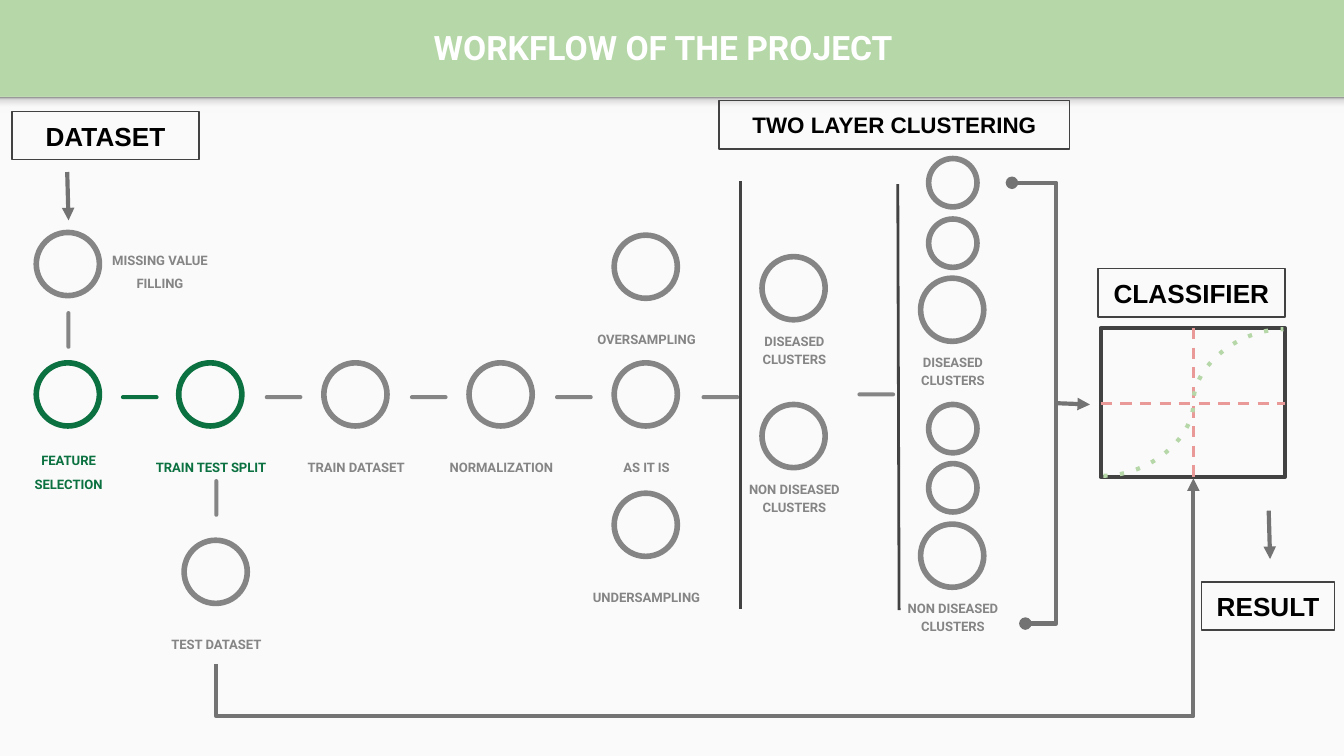
from copy import deepcopy

from lxml.etree import SubElement
from pptx import Presentation
from pptx.dml.color import RGBColor
from pptx.enum.shapes import MSO_CONNECTOR, MSO_SHAPE
from pptx.enum.text import MSO_ANCHOR, PP_ALIGN
from pptx.oxml.ns import qn
from pptx.util import Inches, Pt


class Theme:
    band = "B6D7A8"
    paper = "FAFAFA"
    green = "0B7140"
    gray = "858585"
    arrow = "737373"
    dark = "424242"
    axis = "EA9999"
    white = "FFFFFF"
    black = "000000"
    shade = [(0, "F9F9F9"), (0.36, "F9F9F9"), (0.8, "DEDEDE"), (1, "999999")]
    label_font = "Roboto"
    heading_font = "Arial"
    title_size = 18
    heading_size = 14
    wide_heading_size = 12
    label_size = 7


deck = Presentation()
deck.slide_width = Inches(10)
deck.slide_height = Inches(10 * 9 / 16)
page = deck.slides.add_slide(deck.slide_layouts[6])
page.background.fill.solid()
page.background.fill.fore_color.rgb = RGBColor.from_string(Theme.band)


def draw(kind, left, top, width, height, fill=None, outline=None, weight=0):
    shape = page.shapes.add_shape(kind, Inches(left), Inches(top), Inches(width), Inches(height))
    shape.shadow.inherit = False
    if fill:
        shape.fill.solid()
        shape.fill.fore_color.rgb = RGBColor.from_string(fill)
    else:
        shape.fill.background()
    if outline:
        shape.line.color.rgb = RGBColor.from_string(outline)
        shape.line.width = Pt(weight)
    else:
        shape.line.fill.background()
    return shape


def write(box, text, size, font, color, anchor=MSO_ANCHOR.MIDDLE, spacing=1.0):
    frame = box.text_frame
    frame.word_wrap = True
    frame.vertical_anchor = anchor
    frame.margin_left = frame.margin_right = Inches(0.1)
    frame.margin_top = frame.margin_bottom = Inches(0.1)
    para = frame.paragraphs[0]
    para.text = text
    para.alignment = PP_ALIGN.CENTER
    para.line_spacing = spacing
    para.font.size = Pt(size)
    para.font.name = font
    para.font.bold = True
    para.font.color.rgb = RGBColor.from_string(color)


draw(MSO_SHAPE.RECTANGLE, 0, 0.72, 10, 4.91, Theme.paper)
shade = draw(MSO_SHAPE.RECTANGLE, 0, 0.72, 10, 0.12)
shade.fill.gradient()
shade.fill.gradient_angle = 90
stop_list = shade._element.spPr.find(qn("a:gradFill")).find(qn("a:gsLst"))
for _ in range(2):
    stop_list.append(deepcopy(stop_list[0]))
for stop, (position, color) in zip(shade.fill.gradient_stops, Theme.shade):
    stop.position = position
    stop.color.rgb = RGBColor.from_string(color)

title = page.shapes.add_textbox(Inches(0.11), Inches(0.02), Inches(9.65), Inches(0.66))
write(title, "WORKFLOW OF THE PROJECT", Theme.title_size, Theme.label_font, Theme.white)

steps = [
    (0.27, 1.73, "MISSING VALUE FILLING", 1.5, Theme.gray),
    (0.27, 2.7, "FEATURE SELECTION", 1.5, Theme.green),
    (1.33, 2.7, "TRAIN TEST SPLIT", 1.5, Theme.green),
    (1.37, 4.02, "TEST DATASET", 1.5, Theme.gray),
    (2.41, 2.7, "TRAIN DATASET", 1.5, Theme.gray),
    (3.49, 2.7, "NORMALIZATION", 1.5, Theme.gray),
    (4.57, 1.75, "OVERSAMPLING", 1.5, Theme.gray),
    (4.57, 2.7, "AS IT IS", 1.5, Theme.gray),
    (4.57, 3.67, "UNDERSAMPLING", 1.5, Theme.gray),
    (5.67, 1.91, "DISEASED CLUSTERS", 1.15, Theme.gray),
    (5.67, 3.01, "NON DISEASED CLUSTERS", 1.15, Theme.gray),
    (6.85, 2.07, "DISEASED CLUSTERS", 1.15, Theme.gray),
    (6.85, 3.9, "NON DISEASED CLUSTERS", 1.15, Theme.gray),
]
label_offsets = {"MISSING VALUE FILLING": (0.38, 0.18), "FEATURE SELECTION": (-0.3, 0.7)}
for left, top, label, spacing, color in steps:
    draw(MSO_SHAPE.OVAL, left, top, 0.47, 0.47, None, color, 3)
    shift, drop = label_offsets.get(label, (-0.3, 0.56))
    box = page.shapes.add_textbox(Inches(left + shift), Inches(top + drop), Inches(1.08), Inches(0.36))
    write(box, label, Theme.label_size, Theme.label_font, color, MSO_ANCHOR.BOTTOM, spacing)

for top in (1.18, 1.63, 3.01, 3.45):
    draw(MSO_SHAPE.OVAL, 6.91, top, 0.36, 0.36, None, Theme.gray, 3)

dashes = [
    (0.9, 2.94, 0, Theme.green),
    (1.97, 2.94, 0, Theme.gray),
    (3.05, 2.94, 0, Theme.gray),
    (4.13, 2.94, 0, Theme.gray),
    (5.22, 2.94, 0, Theme.gray),
    (6.38, 2.92, 0, Theme.gray),
    (0.37, 2.44, 270, Theme.gray),
    (1.47, 3.69, 270, Theme.gray),
]
for left, top, rotation, color in dashes:
    dash = draw(MSO_SHAPE.ROUNDED_RECTANGLE, left, top, 0.28, 0.03, color)
    dash.adjustments[0] = 0.5
    dash.rotation = rotation

headings = [
    (0.09, 0.83, 1.39, "DATASET", Theme.heading_size),
    (5.35, 0.75, 2.61, "TWO LAYER CLUSTERING", Theme.wide_heading_size),
    (8.17, 2, 1.39, "CLASSIFIER", Theme.heading_size),
    (8.94, 4.33, 0.99, "RESULT", Theme.heading_size),
]
for left, top, width, heading, size in headings:
    box = draw(MSO_SHAPE.RECTANGLE, left, top, width, 0.36, None, Theme.dark, 0.75)
    write(box, heading, size, Theme.heading_font, Theme.black)

draw(MSO_SHAPE.RECTANGLE, 8.19, 2.44, 1.37, 1.11, None, Theme.dark, 2.25)

straight, curve = MSO_CONNECTOR.STRAIGHT, MSO_CONNECTOR.CURVE
lines = [
    (straight, [(8.88, 2.44), (8.88, 3.56)], Theme.axis, 1.5, "dash", None, None),
    (curve, [(8.21, 3.54), (9.55, 2.45)], Theme.band, 2.25, "dot", None, None),
    (straight, [(8.19, 3), (9.56, 3)], Theme.axis, 1.5, "dash", None, None),
    (straight, [(5.51, 1.35), (5.51, 4.53)], Theme.dark, 1.5, "solid", None, None),
    (straight, [(6.68, 1.37), (6.69, 4.54)], Theme.dark, 1.5, "solid", None, None),
    (straight, [(0.5, 1.28), (0.51, 1.64)], Theme.arrow, 2.25, "solid", None, "triangle"),
    (straight, [(7.86, 3), (8.11, 3.01)], Theme.arrow, 2.25, "solid", None, "triangle"),
    (straight, [(9.44, 3.8), (9.45, 4.16)], Theme.arrow, 2.25, "solid", None, "triangle"),
    (None, [(7.53, 1.36), (7.86, 1.36), (7.86, 4.64), (7.63, 4.64)],
     Theme.arrow, 2.25, "solid", "oval", "oval"),
    (None, [(1.61, 4.94), (1.61, 5.33), (8.88, 5.33), (8.88, 3.56)],
     Theme.arrow, 2.25, "solid", None, "triangle"),
]
for kind, corners, color, weight, pattern, head, tail in lines:
    points = [(Inches(x), Inches(y)) for x, y in corners]
    if kind:
        line = page.shapes.add_connector(kind, *points[0], *points[1])
    else:
        builder = page.shapes.build_freeform(*points[0])
        builder.add_line_segments(points[1:], close=False)
        line = builder.convert_to_shape()
        line.fill.background()
    line.line.color.rgb = RGBColor.from_string(color)
    line.line.width = Pt(weight)
    properties = line._element.spPr
    stroke = properties.find(qn("a:ln"))
    SubElement(stroke, qn("a:prstDash"), val=pattern)
    SubElement(stroke, qn("a:round"))
    for end, tip in (("a:headEnd", head), ("a:tailEnd", tail)):
        if tip:
            SubElement(stroke, qn(end), type=tip)
    SubElement(properties, qn("a:effectLst"))

deck.save("out.pptx")
